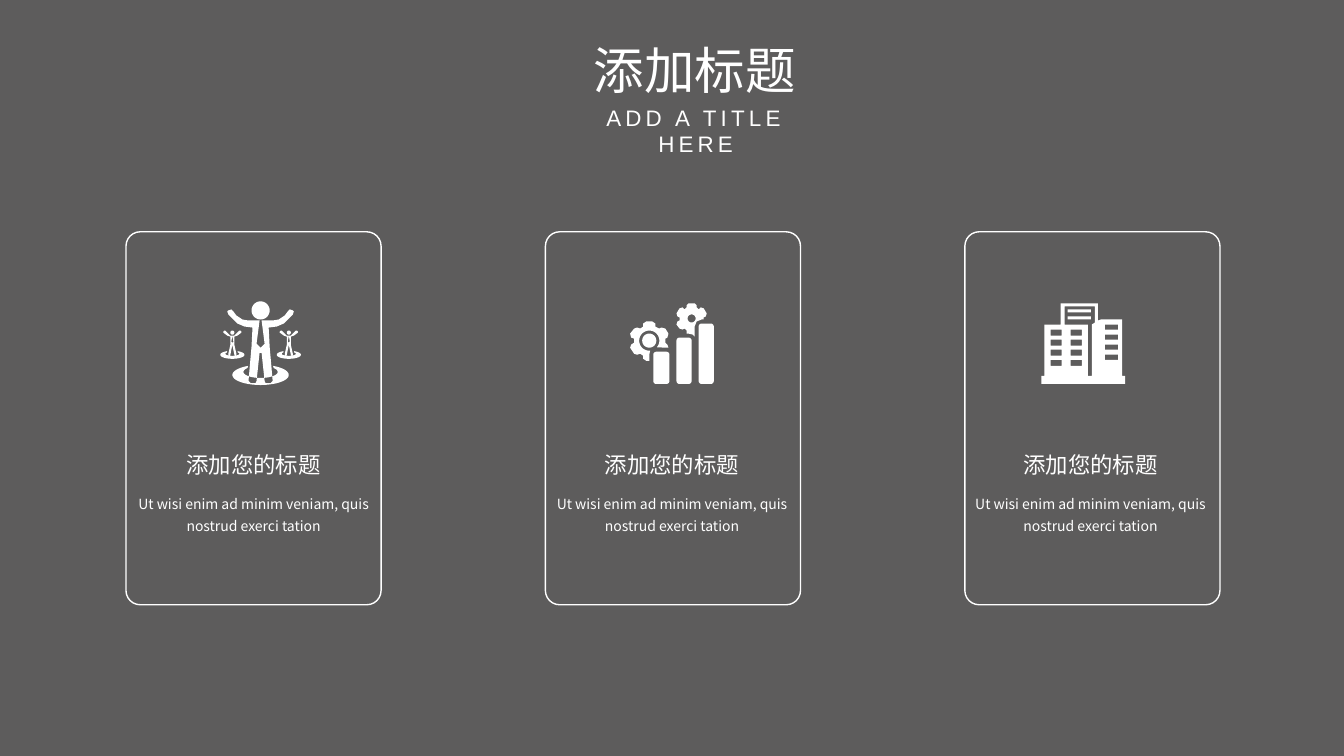
from dataclasses import dataclass
from math import cos, radians, sin

from pptx import Presentation
from pptx import util as u
from pptx.dml.color import RGBColor
from pptx.enum import shapes, text
from pptx.oxml.ns import qn
from pptx.slide import Slide

Point = tuple[float, float]
Contour = list[Point]

PX = 9144  # EMU in one px, 100 px to the inch
SLIDE_WIDTH, SLIDE_HEIGHT = 1333, 750
GREY = RGBColor(0x5D, 0x5C, 0x5C)
WHITE = RGBColor(0xFF, 0xFF, 0xFF)
CJK_FONT = "Noto Sans CJK SC"


@dataclass(frozen=True)
class Label:
    left: int
    top: int
    width: int
    height: int
    words: str
    size: int
    font: str = CJK_FONT
    wrap: bool = True
    line_spacing: float = 1.0
    letter_spacing: int = 0


# Outline helpers, all in px
def arc(cx: float, cy: float, rx: float, ry: float,
        start: int = 0, end: int = 360, steps: int = 36) -> Contour:
    angles = [radians(start + (end - start) * i / steps) for i in range(steps + 1)]
    return [(cx + rx * cos(a), cy + ry * sin(a)) for a in angles]


def rectangle(left: int, top: int, width: int, height: int) -> Contour:
    right, bottom = left + width, top + height
    return [(left, top), (right, top), (right, bottom), (left, bottom)]


def bar(left: int, top: int, width: int, height: int, radius: int = 3) -> Contour:
    inner = rectangle(left + radius, top + radius,
                      width - 2 * radius, height - 2 * radius)
    return [point for corner, (x, y) in enumerate(inner)
            for point in arc(x, y, radius, radius,
                             180 + 90 * corner, 270 + 90 * corner, 6)]


def mirrored(cx: float, half: Contour) -> Contour:
    return ([(cx + x, y) for x, y in half]
            + [(cx - x, y) for x, y in reversed(half)])


def open_ring(cx: float, cy: int, rx: int, ry: int,
              hole_cy: int, hole_rx: int, hole_ry: int) -> Contour:
    return (arc(cx, cy, rx, ry, -64, 244)
            + arc(cx, hole_cy, hole_rx, hole_ry, 220, -40))


# Icon of a leader between two small people
def people_icon() -> list[Contour]:
    centre = 258.5
    leader = [(0, 345), (4, 341), (1, 318), (6, 318), (12, 318), (18, 317),
              (24, 313), (27, 309), (29, 307), (32, 308), (33, 309), (32, 312),
              (28, 316), (23, 321), (16, 324), (8, 325), (9, 344), (12, 378),
              (10, 380), (5, 380), (4, 378), (1, 350), (0, 350)]
    follower = [(0, 340), (1, 339), (0, 333), (2, 333), (4, 331), (7, 328),
                (8, 328), (9, 329), (9, 330), (5, 333), (2, 334), (2, 342),
                (4, 351), (4, 353), (3, 353), (2, 352), (0, 342)]
    contours = [open_ring(centre, 372, 28, 10, 369, 17, 6),
                arc(centre, 308, 9, 9), mirrored(centre, leader)]
    for cx in (centre - 28, centre + 28):
        contours += [open_ring(cx, 352, 12, 4, 351, 7, 2),
                     arc(cx, 330, 2, 2), mirrored(cx, follower)]
    return contours


# Icon of three bars with two gears
def growth_icon() -> list[Contour]:
    left_gear = ([(638, 321), (641, 319), (647, 319), (650, 321), (650, 324),
                  (654, 326), (656, 325), (660, 326), (663, 331), (662, 335),
                  (660, 336), (660, 340), (662, 342), (663, 345), (660, 345)]
                 + arc(644, 338, 10, 10, 41, -275)
                 + [(644, 352), (644, 358), (641, 358), (638, 356), (638, 353),
                    (635, 351), (632, 352), (629, 351), (625, 345), (626, 342),
                    (629, 340), (629, 336), (626, 335), (625, 331), (629, 326),
                    (632, 325), (635, 326), (638, 324)])
    right_gear = [(683, 301), (689, 301), (691, 303), (691, 305), (693, 307),
                  (695, 305), (698, 306), (701, 311), (700, 314), (698, 315),
                  (698, 317), (696, 317), (691, 319), (689, 324), (689, 334),
                  (687, 332), (683, 331), (681, 331), (681, 328), (679, 326),
                  (677, 327), (674, 326), (671, 322), (672, 319), (674, 318),
                  (674, 315), (672, 314), (671, 311), (674, 306), (677, 305),
                  (679, 307), (681, 305), (681, 303)]
    return [bar(648, 349, 16, 32), bar(671, 335, 15, 46), bar(693, 321, 15, 60),
            left_gear, arc(644, 338, 7, 7), right_gear, arc(686, 316, 4, 4)]


# Icon of two office buildings
def office_icon() -> list[Contour]:
    walls = [(1052, 301), (1089, 301), (1089, 318), (1092, 317), (1113, 317),
             (1113, 373), (1116, 373), (1116, 381), (1033, 381), (1033, 373),
             (1036, 373), (1036, 322), (1052, 322)]
    gap = [(1056, 304), (1056, 322), (1079, 322), (1079, 373), (1083, 373),
           (1083, 322), (1086, 320), (1086, 304)]
    windows = [rectangle(left, top + 10 * floor, width, height)
               for left, top, width, height in
               ((1042, 327, 11, 6), (1062, 327, 11, 6), (1096, 322, 13, 5))
               for floor in range(4)]
    sign = [rectangle(1059, top, 23, 3) for top in (307, 314)]
    return [walls, gap, *windows, *sign]


def add_icon(slide: Slide, contours: list[Contour]) -> None:
    scaled = [[(x * PX, y * PX) for x, y in contour] for contour in contours]
    builder = slide.shapes.build_freeform(*scaled[0][0])
    for index, contour in enumerate(scaled):
        if index:
            builder.move_to(*contour[0])
        builder.add_line_segments(contour[1:], close=True)
    shape = builder.convert_to_shape()
    shape.shadow.inherit = False
    shape.fill.solid()
    shape.fill.fore_color.rgb = WHITE
    shape.line.fill.background()


def add_label(slide: Slide, label: Label) -> None:
    box = slide.shapes.add_textbox(label.left * PX, label.top * PX,
                                   label.width * PX, label.height * PX)
    frame = box.text_frame
    frame.word_wrap = label.wrap
    frame.auto_size = text.MSO_AUTO_SIZE.SHAPE_TO_FIT_TEXT
    paragraph = frame.paragraphs[0]
    paragraph_format = {"alignment": text.PP_ALIGN.CENTER,
                        "line_spacing": label.line_spacing}
    for name, value in paragraph_format.items():
        setattr(paragraph, name, value)
    run = paragraph.add_run()
    run.text = label.words
    for name, value in {"size": u.Pt(label.size), "name": label.font}.items():
        setattr(run.font, name, value)
    run.font.color.rgb = WHITE
    # East Asian typeface and letter spacing
    properties = run._r.get_or_add_rPr()
    east_asian = properties.makeelement(qn("a:ea"), {"typeface": label.font})
    properties.append(east_asian)
    if label.letter_spacing:
        properties.set("spc", str(label.letter_spacing * 100))


def add_card(slide: Slide, left: int) -> None:
    card = slide.shapes.add_shape(shapes.MSO_SHAPE.ROUNDED_RECTANGLE,
                                  left * PX, 230 * PX, 253 * PX, 370 * PX)
    card.adjustments[0] = 0.056
    card.shadow.inherit = False
    card.fill.background()
    card.line.color.rgb = WHITE
    card.line.width = u.Pt(1)


def main() -> None:
    presentation = Presentation()
    presentation.slide_width = SLIDE_WIDTH * PX
    presentation.slide_height = SLIDE_HEIGHT * PX
    slide = presentation.slides.add_slide(presentation.slide_layouts[6])
    slide.background.fill.solid()
    slide.background.fill.fore_color.rgb = GREY

    # Heading
    add_label(slide, Label(578, 34, 222, 71, "添加标题", 36, wrap=False))
    add_label(slide, Label(558, 98, 264, 37, "ADD A TITLE HERE", 16, "Arial",
                           letter_spacing=3))

    # Three cards with icon, title and text
    for column, contours in enumerate((people_icon(), growth_icon(), office_icon())):
        add_icon(slide, contours)
        offset = 415 * column
        add_label(slide, Label(174 + offset, 437, 155, 40, "添加您的标题", 16,
                               wrap=False, line_spacing=1.2))
        add_label(slide, Label(125 + offset, 482, 253, 52,
                               "Ut wisi enim ad minim veniam, quis nostrud exerci tation",
                               10, line_spacing=1.3))
        add_card(slide, 125 + 416 * column)

    presentation.save("out.pptx")


if __name__ == "__main__":
    main()
